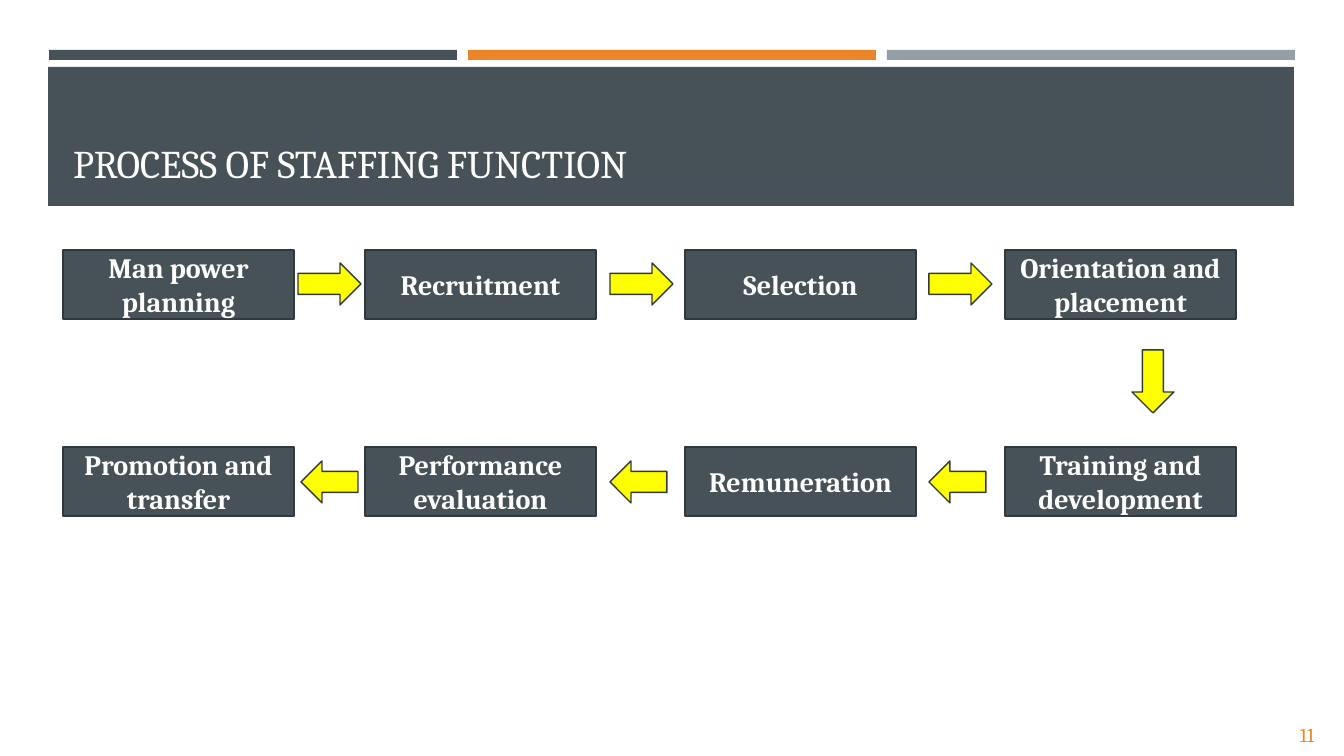
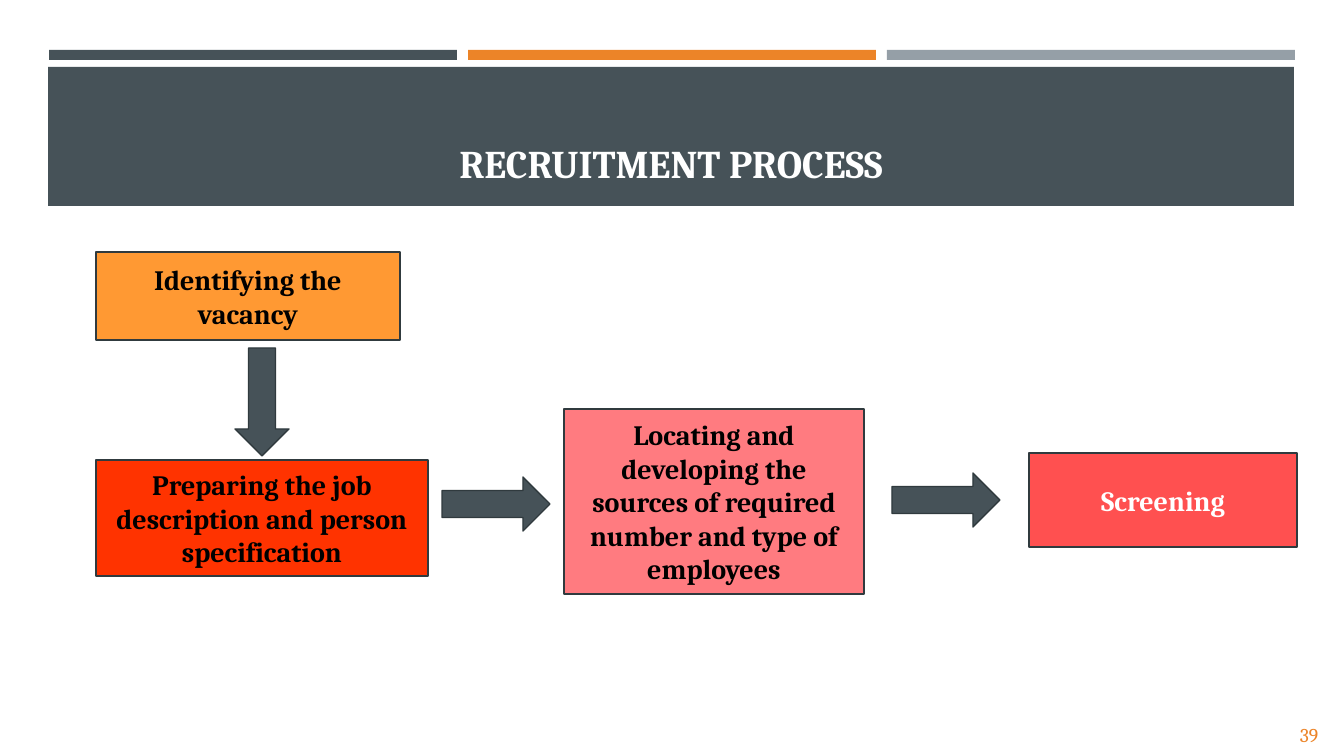
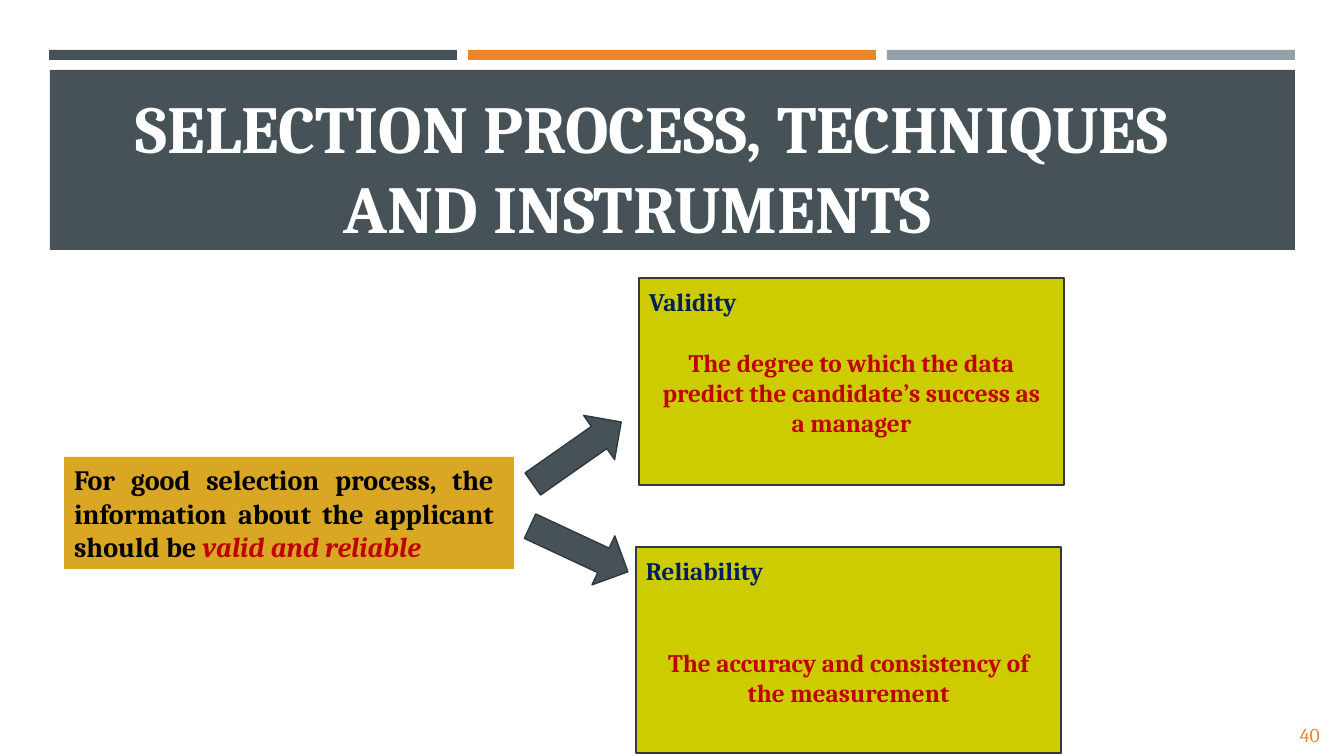
from pptx import Presentation
from pptx.dml.color import RGBColor
from pptx.enum import shapes, text
from pptx.util import Emu, Pt

COLOURS = {
    "slate": "465258", "orange": "EC8428", "grey": "959FA7", "edge": "303A3E",
    "white": "FFFFFF", "black": "000000", "yellow": "FFFF00", "amber": "FF9933",
    "scarlet": "FF3300", "pink": "FF7B80", "coral": "FF5050", "gold": "D9A724",
    "olive": "CCCC00", "navy": "001F5F", "crimson": "C00000",
}
PX_PER_INCH = 100.8
SHAPE = shapes.MSO_SHAPE
ALIGN = text.PP_ALIGN
ANCHOR = text.MSO_ANCHOR


def px(length):
    return Emu(round(length * 914400 / PX_PER_INCH))


def rgb(name):
    return RGBColor.from_string(COLOURS[name])


def assign(target, values):
    for key, value in values.items():
        setattr(target, key, value)


class Deck:
    FONT = "Cambria"

    def __init__(self):
        self.prs = Presentation()
        assign(self.prs, {"slide_width": px(1344), "slide_height": px(756)})
        self.slide = None

    def new_slide(self, number):
        """Start a slide with the three top bars and its page number."""
        self.slide = self.prs.slides.add_slide(self.prs.slide_layouts[6])
        for i, colour in enumerate(("slate", "orange", "grey")):
            self.shape(SHAPE.RECTANGLE, (49 + 419 * i, 50, 408, 10), colour, edge=None)
        page = self.slide.shapes.add_textbox(*map(px, (1296, 723, 30, 26)))
        self.frame(page, side=4)
        self.paragraph(page, [(str(number), {})], 14, "orange", bold=False)

    def shape(self, kind, place, fill, edge="edge", rotation=0):
        item = self.slide.shapes.add_shape(kind, *map(px, place))
        item.shadow.inherit = False
        item.rotation = rotation
        item.fill.solid()
        item.fill.fore_color.rgb = rgb(fill)
        if edge:
            item.line.color.rgb = rgb(edge)
            item.line.width = Pt(1)
        else:
            item.line.fill.background()
        return item

    def frame(self, item, anchor=ANCHOR.TOP, side=0, top=0):
        assign(item.text_frame, {
            "word_wrap": True, "vertical_anchor": anchor,
            "margin_left": px(side), "margin_right": px(side),
            "margin_top": px(top), "margin_bottom": 0})

    def paragraph(self, item, runs, size, colour, bold=True, align=ALIGN.LEFT,
                  before=0, hanging=None):
        """Add runs of (words, font changes); a newline breaks the line.

        hanging is the left indent and the first-line offset.
        """
        paragraphs = item.text_frame.paragraphs
        para = paragraphs[0]
        if para.runs:
            para = item.text_frame.add_paragraph()
        para.alignment = align
        if before:
            para.space_before = Pt(before)
        if hanging:
            properties = para._p.get_or_add_pPr()
            for key, length in zip(("marL", "indent"), hanging):
                properties.set(key, str(px(length)))
        for words, changes in runs:
            for i, line in enumerate(words.split("\n")):
                if i:
                    para.add_line_break()
                run = para.add_run()
                run.text = line
                assign(run.font, {"name": self.FONT, "size": Pt(size), "bold": bold,
                                  "italic": changes.get("italic", False)})
                run.font.color.rgb = rgb(changes.get("colour", colour))

    def title(self, words, place=(48, 67, 1246, 139), top=72, side=0, size=28, **style):
        band = self.shape(SHAPE.RECTANGLE, place, "slate", edge=None)
        self.frame(band, side=side, top=top)
        self.paragraph(band, [(words, {})], size, "white", **style)

    def step(self, words, place, fill="slate", colour="white", side=0):
        """A box with one centred bold label."""
        box = self.shape(SHAPE.RECTANGLE, place, fill)
        self.frame(box, ANCHOR.MIDDLE, side)
        self.paragraph(box, [(words, {})], 20, colour, align=ALIGN.CENTER)

    def definition(self, term, meaning, place, gap):
        box = self.shape(SHAPE.RECTANGLE, place, "olive")
        self.frame(box, side=10, top=8)
        self.paragraph(box, [(term, {})], 18, "navy")
        self.paragraph(box, [(meaning, {})], 18, "crimson", align=ALIGN.CENTER, before=gap)


def staffing_process(deck):
    deck.new_slide(11)
    deck.title("PROCESS OF STAFFING FUNCTION", side=25, bold=False)
    columns = (63, 365, 685, 1005)
    rows = (
        (250, ("Man power planning", "Recruitment", "Selection",
               "Orientation and placement")),
        (447, ("Promotion and transfer", "Performance evaluation", "Remuneration",
               "Training and development")),
    )
    for top, labels in rows:
        for left, label in zip(columns, labels):
            deck.step(label, (left, top, 231, 69))
    for left in (298, 610, 929):
        deck.shape(SHAPE.RIGHT_ARROW, (left, 263, 63, 42), "yellow")
    deck.shape(SHAPE.DOWN_ARROW, (1132, 350, 42, 63), "yellow")
    for left in (301, 610, 929):
        deck.shape(SHAPE.LEFT_ARROW, (left, 461, 57, 42), "yellow")


def recruitment_process(deck):
    deck.new_slide(39)
    deck.title("RECRUITMENT PROCESS", align=ALIGN.CENTER)
    steps = (
        ("Identifying the vacancy", (96, 252, 304, 88), "amber", "black"),
        ("Preparing the job description and person specification",
         (96, 460, 332, 116), "scarlet", "black"),
        ("Locating and developing the sources of required number and type of employees",
         (564, 409, 300, 185), "pink", "black"),
        ("Screening", (1029, 453, 268, 94), "coral", "white"),
    )
    for words, place, fill, colour in steps:
        deck.step(words, place, fill, colour, side=16)
    deck.shape(SHAPE.DOWN_ARROW, (235, 348, 54, 108), "slate")
    for left, top in ((442, 477), (892, 473)):
        deck.shape(SHAPE.RIGHT_ARROW, (left, top, 108, 54), "slate")


def selection_process(deck):
    deck.new_slide(40)
    deck.title("SELECTION PROCESS, TECHNIQUES\nAND INSTRUMENTS", (50, 70, 1245, 180),
               top=16, size=48, hanging=(294, -208))
    need = deck.shape(SHAPE.RECTANGLE, (64, 457, 450, 112), "gold", edge=None)
    deck.frame(need, ANCHOR.MIDDLE, side=10)
    need.text_frame.margin_right = px(20)
    deck.paragraph(need, [
        ("For good selection process, the information about the applicant should be ", {}),
        ("valid and reliable", {"colour": "crimson", "italic": True}),
    ], 20, "black", align=ALIGN.JUSTIFY)
    deck.definition("Validity",
                    "The degree to which the data\n"
                    "predict the candidate’s success as\na manager",
                    (639, 278, 425, 207), gap=22)
    deck.definition("Reliability",
                    "The accuracy and consistency of\nthe measurement",
                    (636, 547, 425, 206), gap=44)
    for left, top, rotation in ((523, 426, -35), (525, 522, 25)):
        deck.shape(SHAPE.RIGHT_ARROW, (left, top, 108, 54), "slate", rotation=rotation)


def main():
    deck = Deck()
    for build in (staffing_process, recruitment_process, selection_process):
        build(deck)
    deck.prs.save("out.pptx")


if __name__ == "__main__":
    main()
